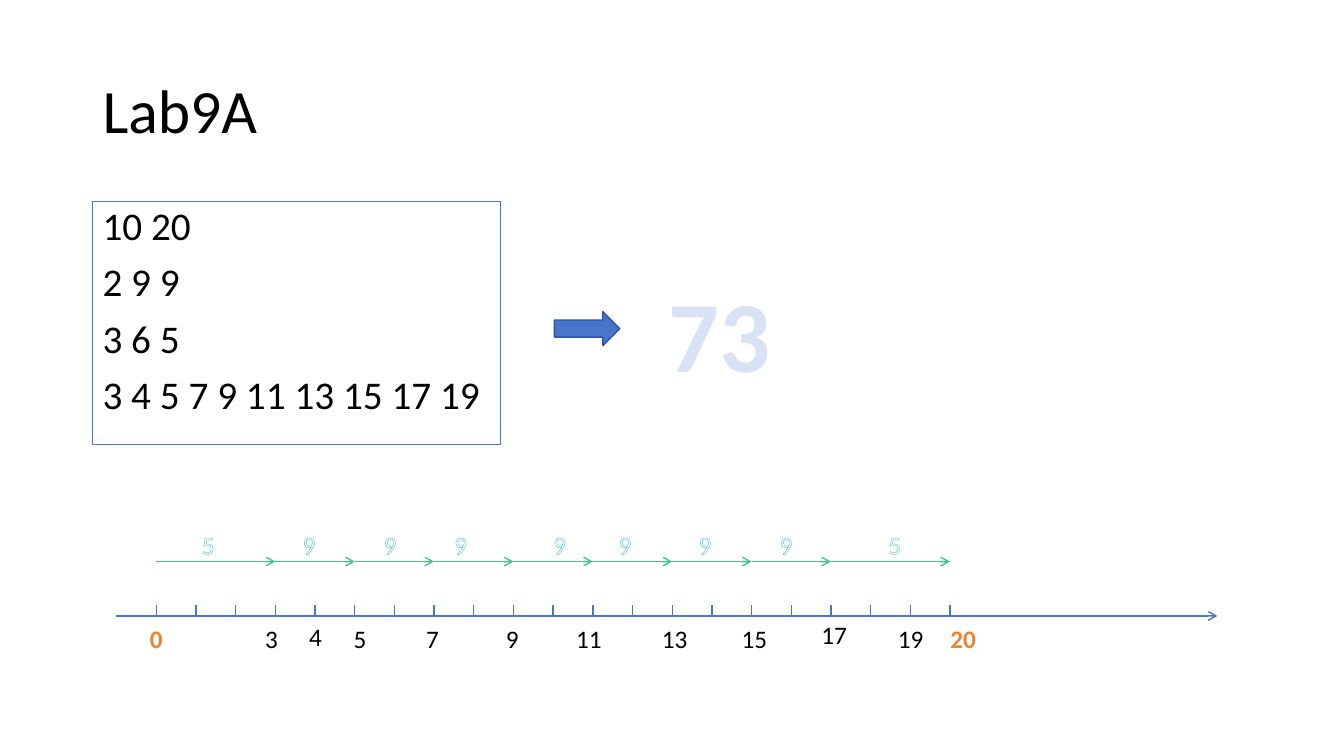
from itertools import pairwise

from lxml.etree import SubElement
from pptx import Presentation
from pptx.dml.color import RGBColor
from pptx.enum.dml import MSO_PATTERN
from pptx.enum.shapes import MSO_CONNECTOR, MSO_SHAPE
from pptx.enum.text import MSO_ANCHOR, MSO_AUTO_SIZE, PP_ALIGN
from pptx.oxml import parse_xml
from pptx.oxml.ns import nsdecls, qn
from pptx.util import Cm, Pt

BLUE, BLACK, ORANGE, GREEN = "4874CB", "000000", "EE822F", "48C486"
color = RGBColor.from_string


def write(frame, lines, size, ink, bold=False, align=PP_ALIGN.LEFT,
          anchor=MSO_ANCHOR.TOP, spacing=1.0, before=0):
    frame_format = {"word_wrap": True, "auto_size": MSO_AUTO_SIZE.NONE, "vertical_anchor": anchor}
    for key, value in frame_format.items():
        setattr(frame, key, value)
    frame.text = "\n".join(lines)
    for index, paragraph in enumerate(frame.paragraphs):
        paragraph_format = {"alignment": align, "line_spacing": spacing,
                            "space_before": Pt(before if index else 0)}
        for key, value in paragraph_format.items():
            setattr(paragraph, key, value)
        font = paragraph.runs[0].font
        for key, value in {"name": "Calibri", "size": Pt(size), "bold": bold}.items():
            setattr(font, key, value)
        font.fill.solid()
        font.fill.fore_color.rgb = color(ink)


def draw_line(x1, y1, x2, y2, ink, arrow=False):
    connector = slide.shapes.add_connector(MSO_CONNECTOR.STRAIGHT, Cm(x1), Cm(y1), Cm(x2), Cm(y2))
    connector.line.color.rgb = color(ink)
    connector.line.width = Pt(1)
    properties = connector._element.spPr
    if arrow:
        SubElement(properties.find(qn("a:ln")), qn("a:tailEnd"), type="arrow")
    SubElement(properties, qn("a:effectLst"))


presentation = Presentation()
presentation.slide_width, presentation.slide_height = Cm(33.87), Cm(19.05)
slide = presentation.slides.add_slide(presentation.slide_layouts[1])

heading, lab_input = slide.placeholders
places = [(heading, 2.33, 1.01, 29.21, 3.68), (lab_input, 2.33, 5.08, 10.29, 6.12)]
for placeholder, *place in places:
    for key, value in zip(("left", "top", "width", "height"), place):
        setattr(placeholder, key, Cm(value))

write(heading.text_frame, ["Lab9A"], 44, BLACK, anchor=MSO_ANCHOR.MIDDLE, spacing=0.9)

write(lab_input.text_frame, ["10 20", "2 9 9", "3 6 5", "3 4 5 7 9 11 13 15 17 19"],
      28, BLACK, spacing=0.9, before=10)
for paragraph in lab_input.text_frame.paragraphs:
    bullet_format = paragraph._p.get_or_add_pPr()
    bullet_format.set("marL", "0")
    bullet_format.set("indent", "0")
    SubElement(bullet_format, qn("a:buNone"))
lab_input.line.color.rgb = color(BLUE)
lab_input.line.width = Pt(0.75)

result_arrow = slide.shapes.add_shape(MSO_SHAPE.RIGHT_ARROW, Cm(13.97), Cm(7.85), Cm(1.65), Cm(0.86))
result_arrow.shadow.inherit = False
result_arrow.fill.solid()
result_arrow.fill.fore_color.rgb = color(BLUE)
result_arrow.line.color.rgb = color("2E54A1")
result_arrow.line.width = Pt(1)

answer = slide.shapes.add_textbox(Cm(15.5), Cm(6.77), Cm(5.28), Cm(3.2))
write(answer.text_frame, ["73"], 72, "D9E2F5", bold=True,
      align=PP_ALIGN.CENTER, anchor=MSO_ANCHOR.MIDDLE)

origin = 3.94
draw_line(2.92, 15.52, 30.68, 15.52, BLUE, arrow=True)
for position in range(21):
    draw_line(origin + position, 15.25, origin + position, 15.5, BLUE)

position_labels = [
    ("0", 3.53, 15.57, 0.84), ("3", 6.43, 15.57, 0.71), ("4", 7.54, 15.54, 1.12),
    ("5", 8.66, 15.57, 0.89), ("7", 10.49, 15.57, 0.84), ("9", 12.5, 15.57, 0.84),
    ("11", 14.27, 15.57, 1.3), ("13", 16.43, 15.57, 1.4), ("15", 18.44, 15.57, 1.3),
    ("17", 20.45, 15.47, 1.24), ("19", 22.38, 15.57, 1.45), ("20", 23.7, 15.57, 1.42),
]
for label, left, top, width in position_labels:
    is_end = label in ("0", "20")
    position_label = slide.shapes.add_textbox(Cm(left), Cm(top), Cm(width), Cm(1.02))
    write(position_label.text_frame, [label], 18, ORANGE if is_end else BLACK, bold=is_end)

for start, stop in pairwise([0, 3, 5, 7, 9, 11, 13, 15, 17, 20]):
    draw_line(origin + start, 14.15, origin + stop, 14.15, GREEN, arrow=True)

hop_costs = slide.shapes.add_textbox(Cm(3.84), Cm(13.21), Cm(20.29), Cm(1.02))
write(hop_costs.text_frame, ["\t5\t9\t9\t9\t9\t9\t9\t9\t5"], 18, "7DDFD7")
costs = hop_costs.text_frame.paragraphs[0]
cost_tabs = SubElement(costs._p.get_or_add_pPr(), qn("a:tabLst"))
for tab in (1.16, 3.7, 5.74, 7.52, 10.01, 11.66, 13.68, 15.72, 18.46):
    SubElement(cost_tabs, qn("a:tab"), pos=str(Cm(tab)), algn="ctr")
cost_font = costs.runs[0].font
cost_font.fill.patterned()
cost_font.fill.pattern = MSO_PATTERN.LIGHT_DOWNWARD_DIAGONAL
cost_font.fill.fore_color.rgb = color("7DDFD7")
cost_font.fill.back_color.rgb = color("FFFFFF")
costs.runs[0]._r.get_or_add_rPr().insert(0, parse_xml(
    f'<a:ln {nsdecls("a")} w="12700"><a:solidFill><a:srgbClr val="30C0B4"/></a:solidFill></a:ln>'))

presentation.save("out.pptx")
